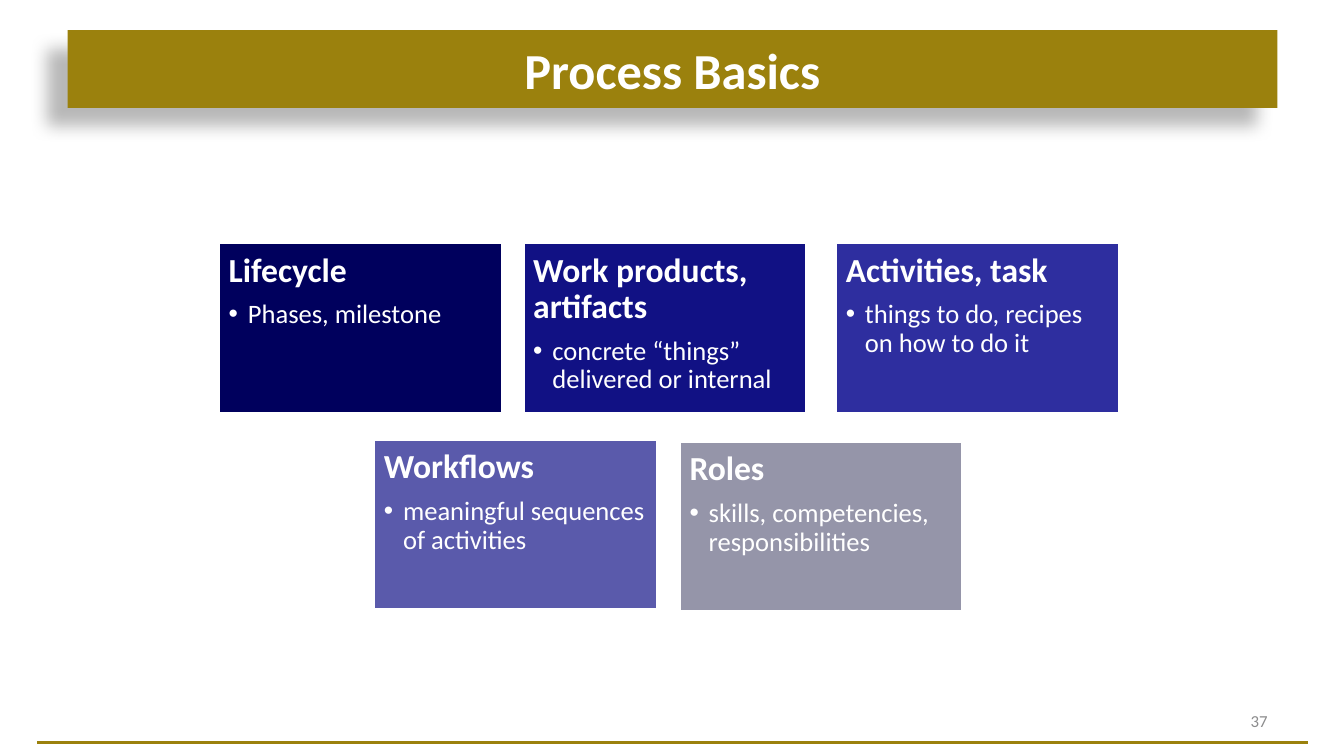
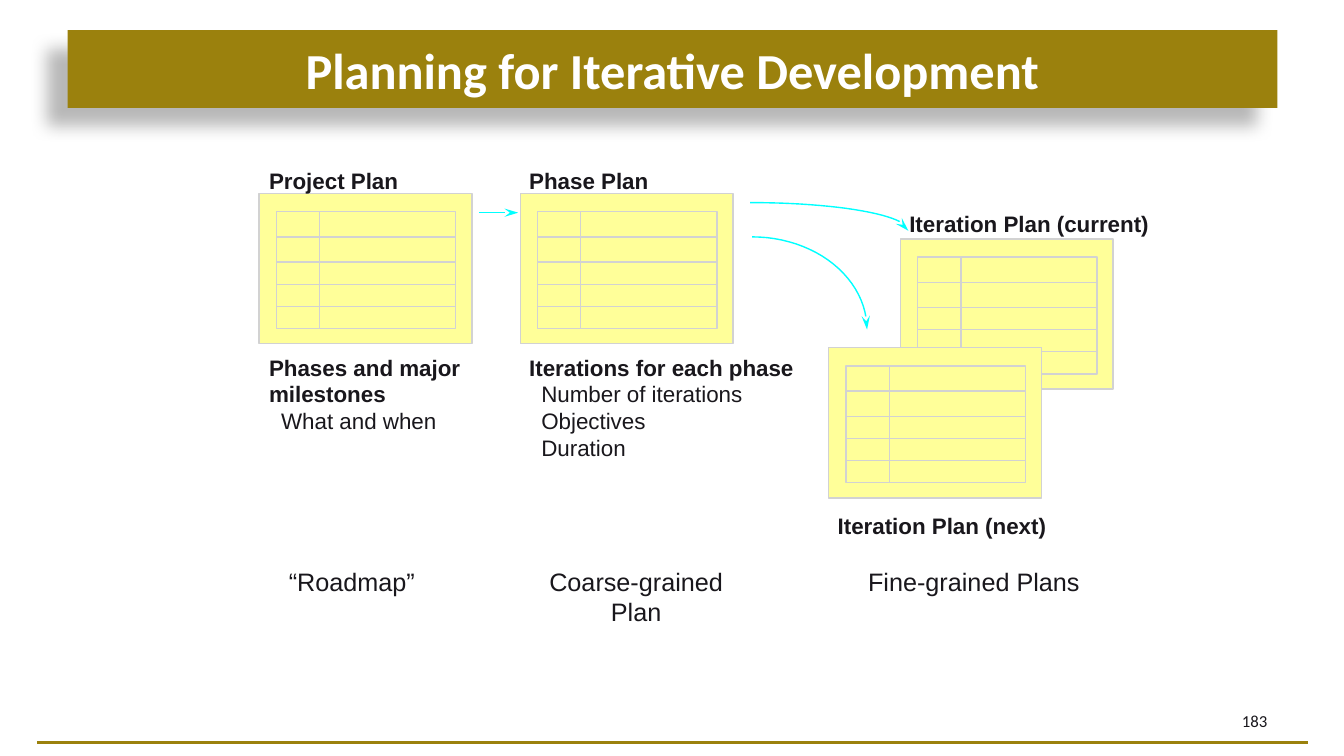
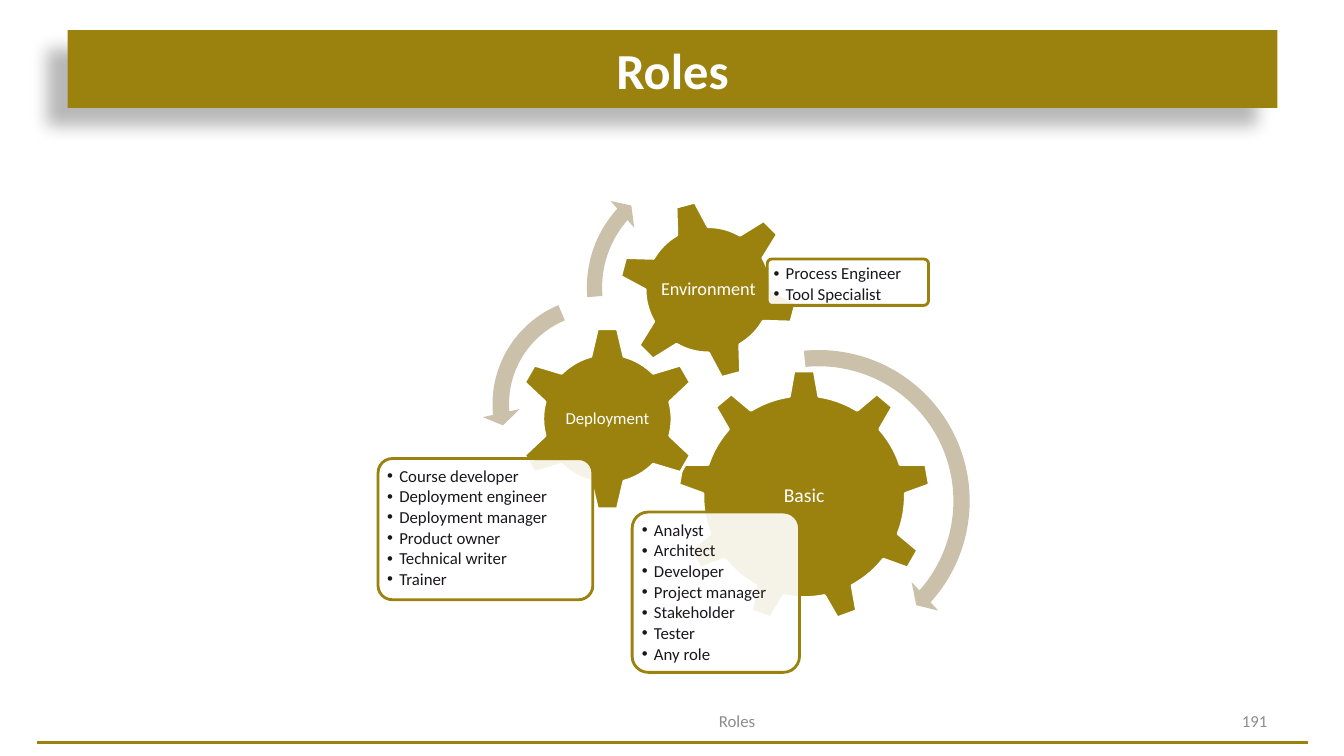
from math import cos, pi, sin

from lxml.etree import SubElement
from pptx import Presentation
from pptx.dml.color import RGBColor
from pptx.enum.shapes import MSO_CONNECTOR, MSO_SHAPE
from pptx.enum.text import MSO_ANCHOR, PP_ALIGN
from pptx.oxml.ns import qn
from pptx.util import Inches, Pt

GOLD = RGBColor(0x9B, 0x81, 0x0D)
TAN = RGBColor(0xCB, 0xC1, 0xAB)
WHITE = RGBColor(0xFF, 0xFF, 0xFF)
INK = RGBColor(0x19, 0x17, 0x1C)
GREY = RGBColor(0x8C, 0x8C, 0x8D)
PAPER = RGBColor(0xFF, 0xFF, 0x99)
RULE = RGBColor(0xD2, 0xD2, 0xD2)
CYAN = RGBColor(0x00, 0xFF, 0xFF)

# Slide 1: left, top, fill, heading, bullet
CARDS = [
    (2.17, 2.41, RGBColor(0x00, 0x00, 0x5D), "Lifecycle", "Phases, milestone"),
    (5.19, 2.41, RGBColor(0x11, 0x11, 0x84), "Work products, artifacts",
     "concrete “things” delivered or internal"),
    (8.29, 2.41, RGBColor(0x2E, 0x2E, 0x9F), "Activities, task",
     "things to do, recipes on how to do it"),
    (3.71, 4.36, RGBColor(0x5A, 0x5A, 0xAB), "Workflows",
     "meaningful sequences of activities"),
    (6.74, 4.38, RGBColor(0x95, 0x95, 0xA9), "Roles",
     "skills, competencies, responsibilities"),
]

# Slide 2: plan sheets, headings, details, captions and arrows
SHEETS = [(8.93, 2.37), (8.22, 3.45), (5.16, 1.92), (2.57, 1.92)]
HEADS = [
    (2.57, 1.61, "Project Plan"),
    (5.15, 1.61, "Phase Plan"),
    (8.92, 2.04, "Iteration Plan (current)"),
    (8.21, 5.03, "Iteration Plan (next)"),
]
DETAILS = [
    (2.57, "Phases and major milestones", ["What and when"]),
    (5.15, "Iterations for each phase",
     ["Number of iterations", "Objectives", "Duration"]),
]
CAPTIONS = [
    (3.49, ["“Roadmap”"]),
    (6.31, ["Coarse-grained", "Plan"]),
    (9.66, ["Fine-grained Plans"]),
]
CURVES = [(7.44, 2.01, 1.57, 0.28), (7.46, 2.35, 1.14, 0.92)]

# Slide 3: gear (kind, left, top, size, turn), label, size, list box, roles
GEARS = [
    ((MSO_SHAPE.GEAR_9, 6.72, 3.67, 2.51, 0), "Basic", 14,
     (6.27, 5.08, 1.66, 1.59),
     ["Analyst", "Architect", "Developer", "Project manager", "Stakeholder",
      "Tester", "Any role"]),
    ((MSO_SHAPE.GEAR_6, 5.11, 3.24, 1.83, 0), "Deployment", 12,
     (3.75, 4.55, 2.13, 1.4),
     ["Course developer", "Deployment engineer", "Deployment manager",
      "Product owner", "Technical writer", "Trainer"]),
    ((MSO_SHAPE.GEAR_6, 6.13, 1.98, 1.79, 345), "Environment", 13,
     (7.61, 2.57, 1.6, 0.46), ["Process Engineer", "Tool Specialist"]),
]
TURNS = [
    (MSO_SHAPE.CIRCULAR_ARROW, 6.51, 3.36, 3.22,
     (0.05, 2.99, 25.16, 158.62, 0.06)),
    (MSO_SHAPE.LEFT_CIRCULAR_ARROW, 4.78, 2.84, 2.34,
     (0.07, 4.3, 104.89, 148.38, 0.08)),
    (MSO_SHAPE.CIRCULAR_ARROW, 5.72, 1.59, 2.52,
     (0.06, 3.94, 133.14, 105.08, 0.07)),
]


def box(at):
    return [Inches(n) for n in at]


def paint(shape, fill=None, line=None, width=1):
    shape.shadow.inherit = False
    if fill is None:
        shape.fill.background()
    else:
        shape.fill.solid()
        shape.fill.fore_color.rgb = fill
    if line is None:
        shape.line.fill.background()
    else:
        shape.line.color.rgb = line
        shape.line.width = Pt(width)


def add_shape(slide, kind, at, fill, line=None, width=1):
    shape = slide.shapes.add_shape(kind, *box(at))
    paint(shape, fill, line, width)
    return shape


def add_line(slide, x1, y1, x2, y2, color, width=1):
    line = slide.shapes.add_connector(
        MSO_CONNECTOR.STRAIGHT, *box((x1, y1, x2, y2)))
    line.line.color.rgb = color
    line.line.width = Pt(width)
    SubElement(line._element.spPr, qn("a:effectLst"))
    return line


def add_head(shape):
    line = shape.line._get_or_add_ln()
    SubElement(line, qn("a:tailEnd"), type="stealth", w="med", len="lg")


def set_frame(shape, inset, anchor=MSO_ANCHOR.TOP):
    frame = shape.text_frame
    frame.word_wrap = True
    frame.vertical_anchor = anchor
    frame.margin_left = frame.margin_right = Inches(inset[0])
    frame.margin_top = frame.margin_bottom = Inches(inset[1])
    return frame


def write(frame, rows, size, color, name="Calibri", bold=False,
          align=PP_ALIGN.LEFT, indent=0, bullet=False, tight=0):
    """Add a paragraph per row; tight is the gap after, as a share of size."""
    for text in rows:
        para = frame.paragraphs[0]
        if para.text:
            para = frame.add_paragraph()
        para.text = text
        para.alignment = align
        props = para._p.get_or_add_pPr()
        if indent:
            props.set("marL", str(Inches(indent)))
        if bullet:
            props.set("indent", str(-Inches(indent)))
            SubElement(props, qn("a:buFont"), typeface="Arial")
            SubElement(props, qn("a:buChar"), char="•")
        if tight:
            para.line_spacing = 0.9
            para.space_after = Pt(size * tight)
        font = para.font
        font.name, font.size, font.bold = name, Pt(size), bold
        font.color.rgb = color


def add_text(slide, at, rows, size, color, inset=(0.1, 0.05),
             anchor=MSO_ANCHOR.TOP, **style):
    frame = set_frame(slide.shapes.add_textbox(*box(at)), inset, anchor)
    write(frame, rows, size, color, **style)
    return frame


def add_slide(deck, name, number, color=GREY):
    """Title band with its shadow, bottom rule and page number."""
    slide = deck.slides.add_slide(deck.slide_layouts[5])
    add_line(slide, 0.37, 7.37, 12.97, 7.37, GOLD, 2.25)
    title = slide.shapes.title
    title.left, title.top, title.width, title.height = box((0.67, 0.3, 12, 0.77))
    paint(title, GOLD)
    frame = set_frame(title, (0.1, 0.05), MSO_ANCHOR.MIDDLE)
    write(frame, [name], 36, WHITE, bold=True, align=PP_ALIGN.CENTER)
    effects = title._element.spPr.find(qn("a:effectLst"))
    shade = SubElement(effects, qn("a:outerShdw"), blurRad=str(Pt(11.8)),
                       dist=str(Pt(19.7)), dir=str(141 * 60000),
                       algn="tr", rotWithShape="0")
    black = SubElement(shade, qn("a:srgbClr"), val="000000")
    SubElement(black, qn("a:alpha"), val="28000")
    add_text(slide, (9.56, 6.95, 3.11, 0.4), [number], 12, color,
             anchor=MSO_ANCHOR.MIDDLE, align=PP_ALIGN.RIGHT)
    return slide


def add_sheet(slide, x, y):
    """A yellow page with a ruled grid."""
    left, top, wide, high = x + 0.17, y + 0.18, 1.78, 1.16
    for at in ((x, y, 2.11, 1.49), (left, top, wide, high)):
        add_shape(slide, MSO_SHAPE.RECTANGLE, at, PAPER, RULE)
    add_line(slide, x + 0.6, top, x + 0.6, top + high, RULE)
    for gap in (0.43, 0.68, 0.9, 1.12):
        add_line(slide, left, y + gap, left + wide, y + gap, RULE)


def add_curve(slide, x, y, wide, high, steps=24):
    """A quarter of an ellipse that ends in an arrowhead."""
    turns = [pi / 2 * i / steps for i in range(steps + 1)]
    dots = [box((x + wide * sin(t), y + high * (1 - cos(t)))) for t in turns]
    pen = slide.shapes.build_freeform(*dots[0])
    pen.add_line_segments(dots[1:], close=False)
    curve = pen.convert_to_shape()
    paint(curve, line=CYAN)
    add_head(curve)


def build_basics(deck):
    slide = add_slide(deck, "Process Basics", "37")
    for x, y, fill, head, item in CARDS:
        card = add_shape(slide, MSO_SHAPE.RECTANGLE, (x, y, 2.81, 1.69),
                         fill, WHITE, 2)
        frame = set_frame(card, (0.1, 0.1))
        write(frame, [head], 24, WHITE, bold=True, tight=0.35)
        write(frame, [item], 19, WHITE, indent=0.19, bullet=True, tight=0.15)


def build_plans(deck):
    slide = add_slide(deck, "Planning for Iterative Development", "183", INK)
    for x, y in SHEETS:
        add_sheet(slide, x, y)
    for x, y, head in HEADS:
        add_text(slide, (x, y, 2.92, 0.37), [head], 16, INK,
                 name="Arial", bold=True)
    for x, head, items in DETAILS:
        frame = add_text(slide, (x, 3.46, 2.92, 1.17), [head], 16, INK,
                         name="Arial", bold=True)
        write(frame, items, 16, INK, name="Arial", indent=0.12)
    for mid, rows in CAPTIONS:
        add_text(slide, (mid - 1.2, 5.57, 2.4, 0.71), rows, 18, INK,
                 name="Arial", align=PP_ALIGN.CENTER)
    add_head(add_line(slide, 4.75, 2.11, 5.14, 2.11, CYAN))
    for curve in CURVES:
        add_curve(slide, *curve)


def build_roles(deck):
    slide = add_slide(deck, "Roles", "191")
    for (kind, x, y, side, turn), label, size, at, roles in GEARS:
        gear = add_shape(slide, kind, (x, y, side, side), GOLD, WHITE, 2)
        gear.rotation = turn
        # Label centred on its gear
        mid, level = x + side / 2, y + side / 2
        add_text(slide, (mid - 0.75, level - 0.5, 1.5, 1), [label], size,
                 WHITE, inset=(0.02, 0.02), anchor=MSO_ANCHOR.MIDDLE,
                 align=PP_ALIGN.CENTER, tight=0.35)
        # Roles in a nearly opaque panel
        panel = add_shape(slide, MSO_SHAPE.ROUNDED_RECTANGLE, at, WHITE, GOLD, 2)
        panel.adjustments[0] = 0.1
        tint = panel._element.spPr.find(qn("a:solidFill"))[0]
        SubElement(tint, qn("a:alpha"), val="90000")
        write(set_frame(panel, (0.05, 0.05)), roles, 12, INK,
              indent=0.12, bullet=True, tight=0.15)
    for kind, x, y, side, bends in TURNS:
        arrow = add_shape(slide, kind, (x, y, side, side), TAN)
        for i, bend in enumerate(bends):
            arrow.adjustments[i] = bend
    add_text(slide, (5.2, 6.95, 4.22, 0.4), ["Roles"], 12, GREY,
             anchor=MSO_ANCHOR.MIDDLE, align=PP_ALIGN.CENTER)


def main():
    deck = Presentation()
    deck.slide_width, deck.slide_height = Inches(13.33), Inches(7.5)
    build_basics(deck)
    build_plans(deck)
    build_roles(deck)
    deck.save("out.pptx")


if __name__ == "__main__":
    main()
